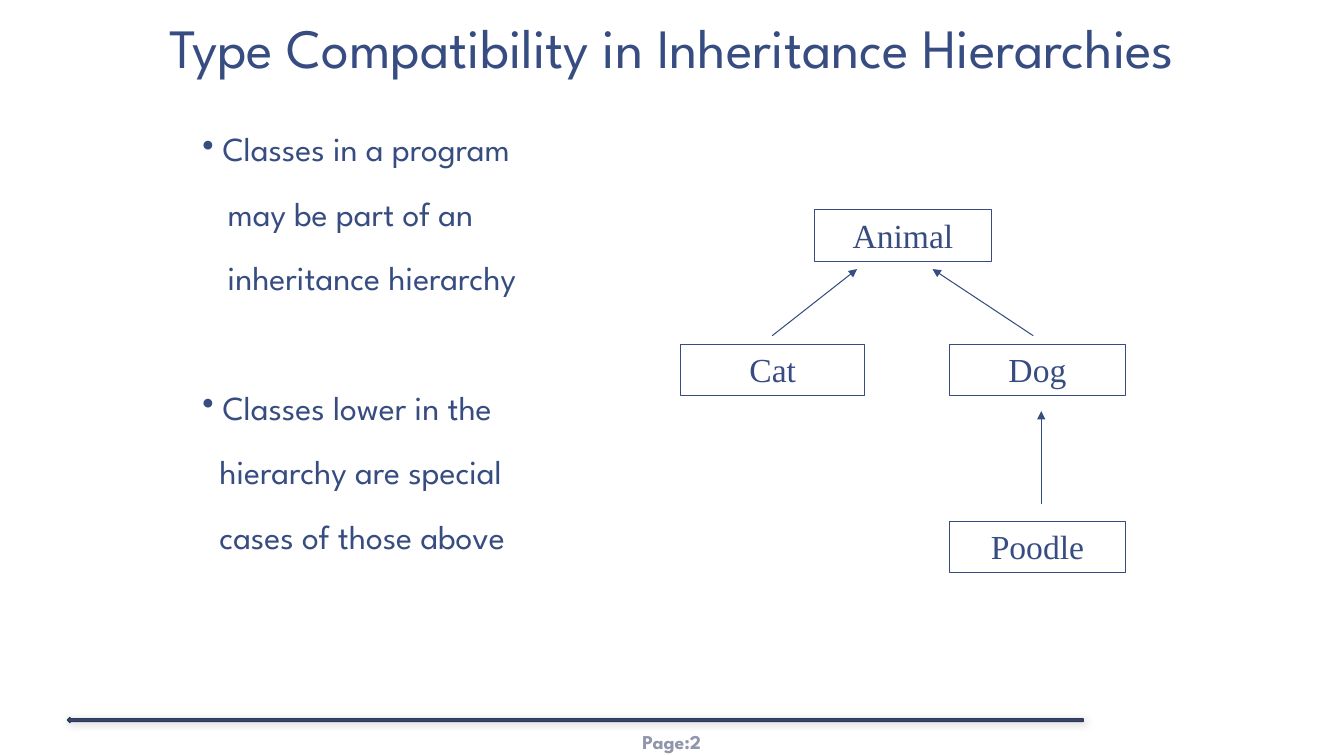
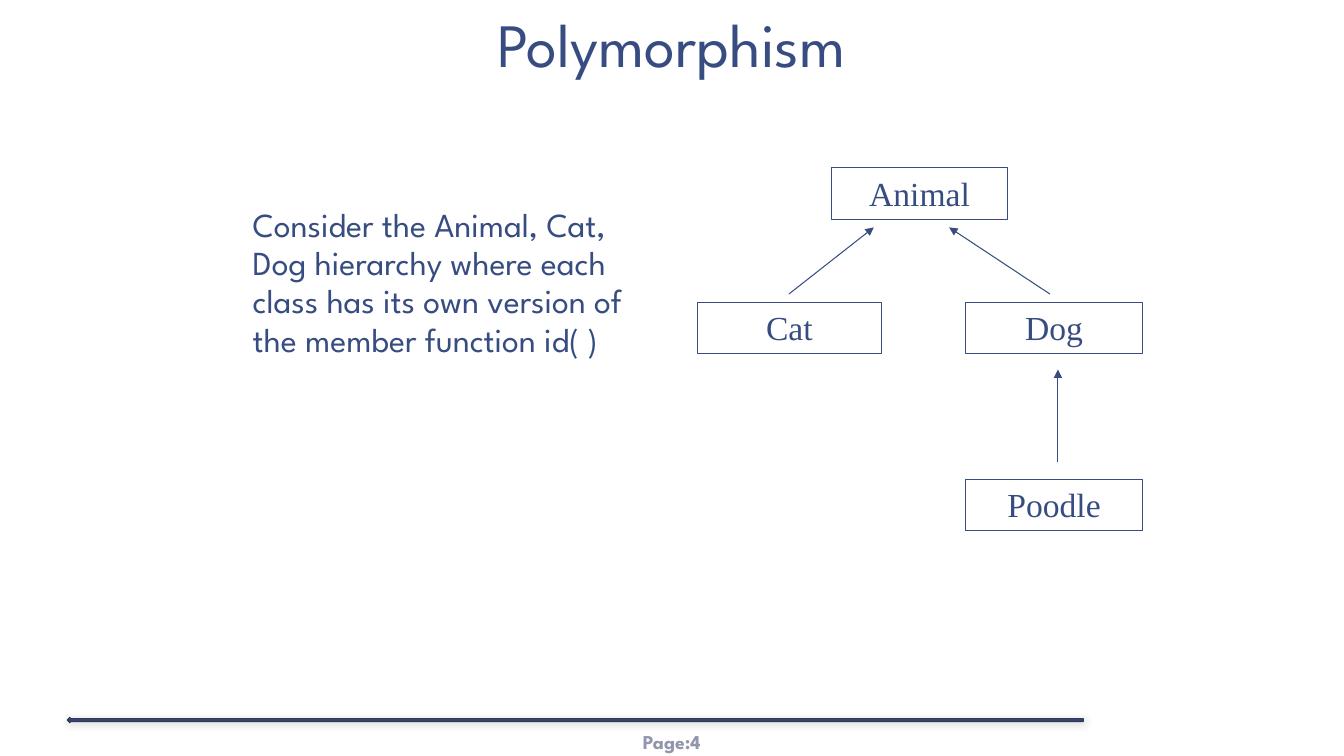
from lxml import etree
from pptx import Presentation
from pptx.dml.color import RGBColor
from pptx.enum.shapes import MSO_CONNECTOR, MSO_SHAPE
from pptx.enum.text import MSO_ANCHOR, PP_ALIGN
from pptx.oxml import parse_xml
from pptx.oxml.ns import qn
from pptx.util import Cm, Pt

RECT, LEFT_ARROW = MSO_SHAPE.RECTANGLE, MSO_SHAPE.LEFT_ARROW
STRAIGHT = MSO_CONNECTOR.STRAIGHT
TOP, MIDDLE, BOTTOM = MSO_ANCHOR.TOP, MSO_ANCHOR.MIDDLE, MSO_ANCHOR.BOTTOM
LEFT, CENTER = PP_ALIGN.LEFT, PP_ALIGN.CENTER

NAVY, RULE_EDGE, GREY = "374C81", "303A58", "9196AC"
SANS, SERIF = "League Spartan", "Times New Roman"
WIDTH = 33.87
LINE_GAP = 18.7
BLOCK_GAP = 65

SHADOW = (
    '<a:effectLst xmlns:a="http://schemas.openxmlformats.org/drawingml/2006/main">'
    '<a:outerShdw blurRad="76200" dist="12700" dir="2700000" algn="tl" rotWithShape="0">'
    '<a:srgbClr val="000000"><a:alpha val="20000"/></a:srgbClr>'
    '</a:outerShdw></a:effectLst>'
)

# Diagram, in cm from its upper left corner: name, left, top, width
BOX_H = 1.3
CLASSES = [
    ("Animal", 3.38, 0, 4.45),
    ("Cat", 0, 3.39, 4.65),
    ("Dog", 6.77, 3.39, 4.45),
    ("Poodle", 6.77, 7.85, 4.45),
]
# Arrows from subclass to base class: x1, y1, x2, y2
ARROWS = [
    (2.31, 3.18, 4.45, 1.5),
    (8.89, 3.18, 6.35, 1.5),
    (9.09, 7.42, 9.09, 5.08),
]

# Body lines: text, bullet, indent in cm, space before in points
SLIDES = [
    dict(
        page="Page:2", title="Type Compatibility in Inheritance Hierarchies", size=39.6,
        body_box=(4.85, 3.18, 11.3, 12.7), diagram=(17.15, 5.28),
        body=[
            ("Classes in a program", True, 0.51, LINE_GAP),
            ("may be part of an", False, 0.64, LINE_GAP),
            ("inheritance hierarchy", False, 0.64, LINE_GAP),
            ("Classes lower in the", True, 0.51, BLOCK_GAP),
            ("hierarchy are special", False, 0.43, LINE_GAP),
            ("cases of those above", False, 0.43, LINE_GAP),
        ],
    ),
    dict(
        page="Page:4", title="Polymorphism", size=44,
        body_box=(6.12, 5.08, 10.6, 8.69), diagram=(17.57, 4.23),
        body=[
            ("Consider the Animal, Cat, Dog hierarchy where each class has its own "
             "version of the member function id( )", False, 0, LINE_GAP),
        ],
    ),
]


def rgb(value):
    return RGBColor.from_string(value)


def write(tf, p, text, size, font=SANS, color=NAVY, bold=False, align=CENTER, anchor=TOP):
    """Add one styled run to paragraph p and set how its frame holds it."""
    tf.word_wrap = True
    tf.vertical_anchor = anchor
    p.alignment = align
    r = p.add_run()
    r.text = text
    r.font.size, r.font.name, r.font.bold = Pt(size), font, bold
    r.font.color.rgb = rgb(color)


prs = Presentation()
prs.slide_width, prs.slide_height = Cm(WIDTH), Cm(19.05)

for item in SLIDES:
    slide = prs.slides.add_slide(prs.slide_layouts[6])
    shapes = slide.shapes

    # Footer
    tf = shapes.add_textbox(Cm(14.68), Cm(18.19), Cm(4.5), Cm(1.02)).text_frame
    tf.margin_left = tf.margin_right = Cm(0.1)
    tf.margin_top = tf.margin_bottom = Cm(0.05)
    write(tf, tf.paragraphs[0], item["page"], 14, color=GREY, bold=True, anchor=MIDDLE)

    rule = shapes.add_shape(LEFT_ARROW, Cm(1.7), Cm(18.08), Cm(25.6), Cm(0.13))
    rule.fill.solid()
    rule.fill.fore_color.rgb = rgb(NAVY)
    rule.line.color.rgb = rgb(RULE_EDGE)
    rule.line.width = Pt(1)
    rule._element.spPr.append(parse_xml(SHADOW))

    # Title
    tf = shapes.add_textbox(0, 0, Cm(WIDTH), Cm(2.18)).text_frame
    tf.margin_left = tf.margin_right = Cm(0.34)
    tf.margin_top = tf.margin_bottom = Cm(0.17)
    p = tf.paragraphs[0]
    p.line_spacing = 0.85
    write(tf, p, item["title"], item["size"], anchor=BOTTOM)

    # Body
    tf = shapes.add_textbox(*map(Cm, item["body_box"])).text_frame
    for i, (text, bullet, indent, gap) in enumerate(item["body"]):
        p = tf.add_paragraph() if i else tf.paragraphs[0]
        p.line_spacing = 0.95
        p.space_before = Pt(gap)
        write(tf, p, text, 24, align=LEFT)
        pPr = p._p.get_or_add_pPr()
        pPr.set("marL", str(Cm(indent)))
        if bullet:
            pPr.set("indent", str(-Cm(indent)))
            etree.SubElement(pPr, qn("a:buChar"), char="•")

    # Class hierarchy
    x, y = item["diagram"]
    for name, dx, dy, w in CLASSES:
        sp = shapes.add_shape(RECT, Cm(x + dx), Cm(y + dy), Cm(w), Cm(BOX_H))
        sp.shadow.inherit = False
        sp.fill.background()
        sp.line.color.rgb = rgb(NAVY)
        sp.line.width = Pt(0.75)
        tf = sp.text_frame
        write(tf, tf.paragraphs[0], name, 24, font=SERIF)

    for x1, y1, x2, y2 in ARROWS:
        arrow = shapes.add_connector(STRAIGHT, Cm(x + x1), Cm(y + y1), Cm(x + x2), Cm(y + y2))
        arrow.line.color.rgb = rgb(NAVY)
        arrow.line.width = Pt(0.75)
        etree.SubElement(arrow.line._get_or_add_ln(), qn("a:tailEnd"), type="triangle")
        etree.SubElement(arrow._element.spPr, qn("a:effectLst"))

prs.save("out.pptx")
